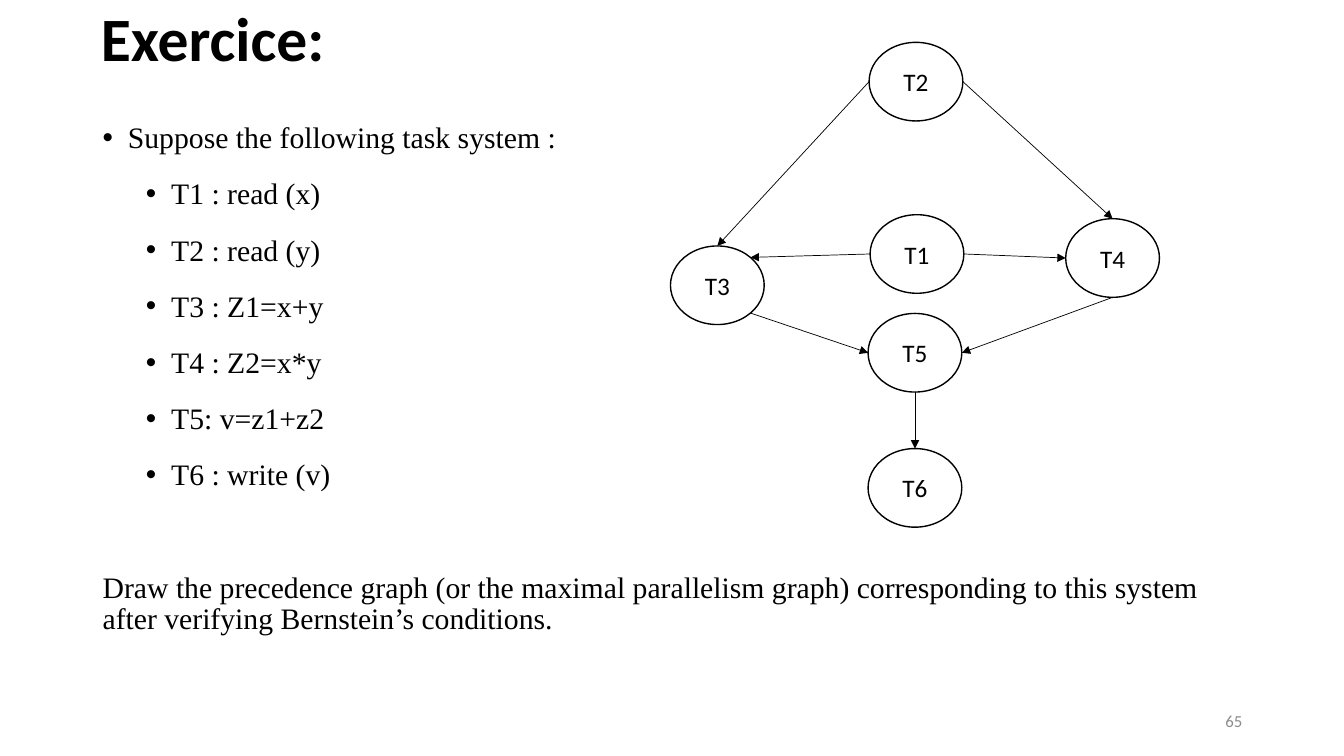
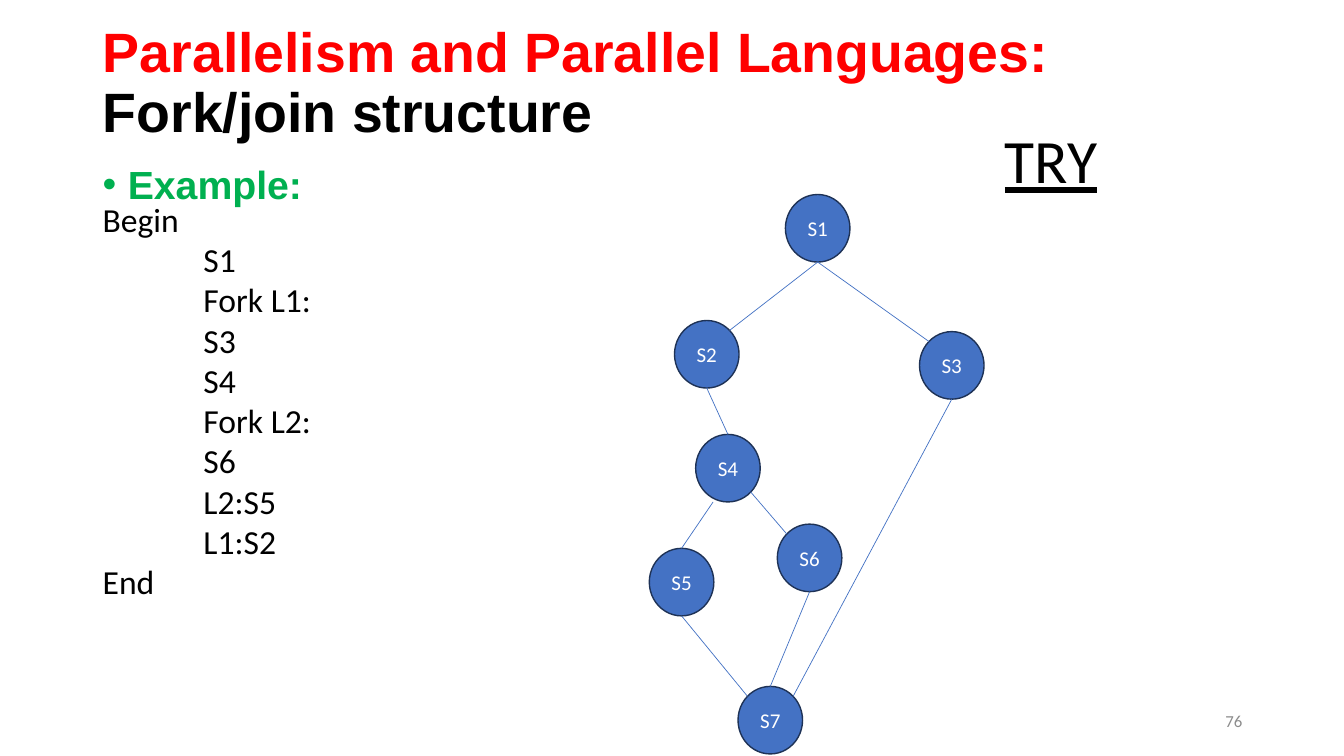
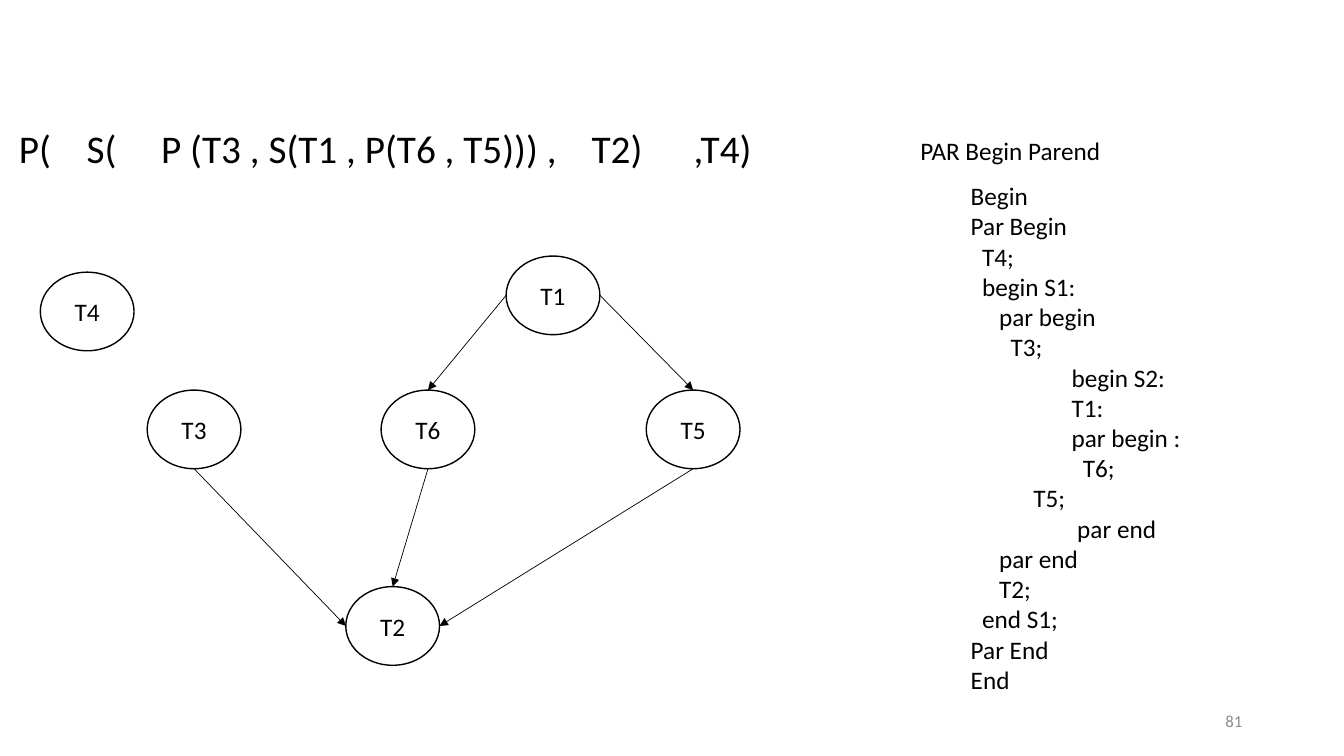
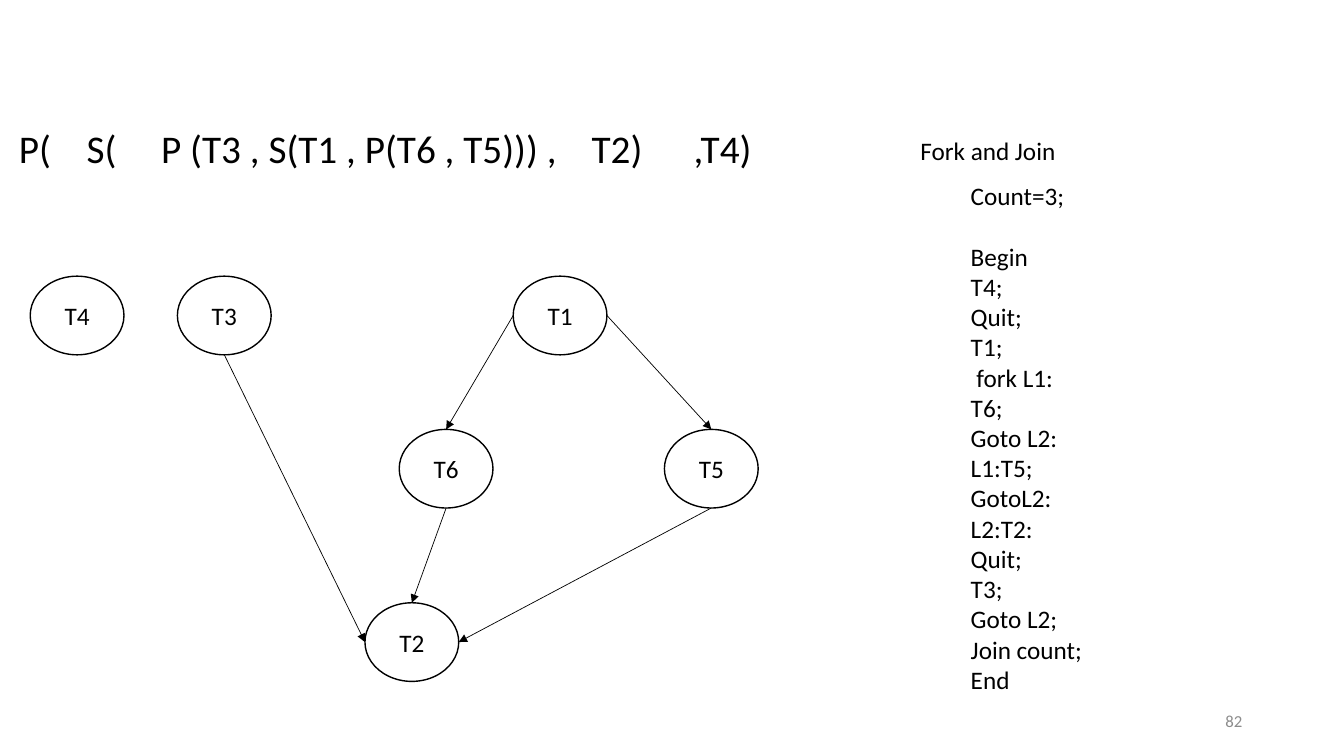
from dataclasses import dataclass

from lxml import etree
from pptx import Presentation
from pptx.dml.color import RGBColor
from pptx.enum.shapes import MSO_CONNECTOR, MSO_SHAPE
from pptx.enum.text import MSO_ANCHOR, MSO_AUTO_SIZE, PP_ALIGN
from pptx.oxml.ns import qn
from pptx.util import Inches, Pt

ELLIPSE = MSO_SHAPE.OVAL
STRAIGHT = MSO_CONNECTOR.STRAIGHT
LEFT, CENTER, RIGHT = PP_ALIGN.LEFT, PP_ALIGN.CENTER, PP_ALIGN.RIGHT
TOP, MIDDLE = MSO_ANCHOR.TOP, MSO_ANCHOR.MIDDLE
NO_AUTOFIT = MSO_AUTO_SIZE.NONE
TITLE_ONLY, BLANK = 5, 6


@dataclass(frozen=True)
class Theme:
    black: str = "000000"
    white: str = "FFFFFF"
    red: str = "FF0000"
    green: str = "00B050"
    blue: str = "4472C4"
    navy: str = "1E3256"
    gray: str = "8C8C8C"
    sans: str = "Calibri"
    heading: str = "Arial"
    serif: str = "Times New Roman"
    title: float = 44
    long_title: float = 39.6
    expression: float = 28
    program: float = 24
    body: float = 21.2
    code: float = 18
    small_node: float = 15
    footer: float = 12


THEME = Theme()


@dataclass(frozen=True)
class NodeStyle:
    width: float
    height: float
    fill: str
    line: str
    text: str
    size: float
    edge: str
    arrow: bool


TASK = NodeStyle(0.93, 0.78, THEME.white, THEME.black, THEME.black,
                 THEME.code, THEME.black, True)
STATEMENT = NodeStyle(0.64, 0.67, THEME.blue, THEME.navy, THEME.white,
                      THEME.small_node, THEME.blue, False)

# Connection sites of an ellipse: fraction of width, of height, site number
SITES = {
    "top": (0.5, 0, 0), "top left": (0.146, 0.146, 1),
    "left": (0, 0.5, 2), "bottom left": (0.146, 0.854, 3),
    "bottom": (0.5, 1, 4), "bottom right": (0.854, 0.854, 5),
    "right": (1, 0.5, 6), "top right": (0.854, 0.146, 7),
}

EXPRESSION = "P(\tS(\tP (T3 , S(T1 , P(T6 , T5))) ,\tT2)\t,T4)"
EXPRESSION_TABS = (0.67, 1.41, 5.68, 6.69)
EXPRESSION_EDGES = [
    ("T1", "left", "T6", "top"), ("T1", "right", "T5", "top"),
    ("T5", "bottom", "T2", "right"), ("T6", "bottom", "T2", "top"),
    ("T3", "bottom", "T2", "left"),
]


# Text helpers
def add_run(paragraph, text, size, color=THEME.black, font=THEME.sans,
            bold=False, underline=False):
    run = paragraph.add_run()
    run.text = text
    run.font.size = Pt(size)
    run.font.name = font
    run.font.bold = bold
    run.font.underline = underline
    run.font.color.rgb = RGBColor.from_string(color)


def add_text_box(slide, box, anchor=TOP):
    shape = slide.shapes.add_textbox(*map(Inches, box))
    frame = shape.text_frame
    frame.word_wrap = True
    frame.vertical_anchor = anchor
    return frame


def next_paragraph(frame, index):
    return frame.add_paragraph() if index else frame.paragraphs[0]


def set_indent(paragraph, margin, hanging=0):
    properties = paragraph._p.get_or_add_pPr()
    properties.set("marL", str(Inches(margin)))
    properties.set("indent", str(Inches(-hanging)))
    return properties


def add_bullet(paragraph, margin):
    properties = set_indent(paragraph, margin, 0.25)
    etree.SubElement(properties, qn("a:buFont")).set("typeface", "Arial")
    etree.SubElement(properties, qn("a:buChar")).set("char", "•")


def add_tab_stops(paragraph, positions):
    stops = etree.SubElement(paragraph._p.get_or_add_pPr(), qn("a:tabLst"))
    for position in positions:
        stop = etree.SubElement(stops, qn("a:tab"))
        stop.set("pos", str(Inches(position)))
        stop.set("algn", "l")


def add_label(slide, box, text, size, align=LEFT, anchor=TOP, **look):
    paragraph = add_text_box(slide, box, anchor).paragraphs[0]
    paragraph.alignment = align
    add_run(paragraph, text, size, **look)
    return paragraph


def add_code(slide, box, lines, size, margin=0.0, gap_before=None):
    """Each leading tab moves a line one inch to the right."""
    frame = add_text_box(slide, box)
    for index, line in enumerate(lines):
        paragraph = next_paragraph(frame, index)
        text = line.lstrip("\t")
        set_indent(paragraph, margin + len(line) - len(text))
        if line == gap_before:
            paragraph.space_before = Pt(21.6)
        add_run(paragraph, text, size)


# Shared slide parts
def add_title(slide, box, lines, size, font):
    title = slide.shapes.title
    title.left, title.top, title.width, title.height = map(Inches, box)
    frame = title.text_frame
    frame.word_wrap = True
    frame.auto_size = NO_AUTOFIT
    frame.vertical_anchor = MIDDLE
    paragraph = frame.paragraphs[0]
    paragraph.alignment = LEFT
    paragraph.line_spacing = 0.9
    for index, (text, color) in enumerate(lines):
        if index:
            paragraph.add_line_break()
        add_run(paragraph, text, size, color, font, bold=True)


def add_slide(presentation, layout, number):
    slide = presentation.slides.add_slide(presentation.slide_layouts[layout])
    add_label(slide, (9.42, 6.95, 3, 0.4), number, THEME.footer,
              RIGHT, MIDDLE, color=THEME.gray)
    return slide


# Graphs
def add_node(slide, left, top, name, style):
    node = slide.shapes.add_shape(
        ELLIPSE, *map(Inches, (left, top, style.width, style.height)))
    node.shadow.inherit = False
    node.fill.solid()
    node.fill.fore_color.rgb = RGBColor.from_string(style.fill)
    node.line.color.rgb = RGBColor.from_string(style.line)
    node.line.width = Pt(1)
    frame = node.text_frame
    frame.word_wrap = False
    frame.vertical_anchor = MIDDLE
    frame.margin_left = frame.margin_right = 0
    paragraph = frame.paragraphs[0]
    paragraph.alignment = CENTER
    add_run(paragraph, name, style.size, style.text)
    return node


def site_point(node, site):
    across, down = SITES[site][:2] if site in SITES else site
    return (round(node.left + across * node.width),
            round(node.top + down * node.height))


def add_edge(slide, start, start_site, end, end_site, style):
    connector = slide.shapes.add_connector(
        STRAIGHT, *site_point(start, start_site), *site_point(end, end_site))
    connector.line.color.rgb = RGBColor.from_string(style.edge)
    connector.line.width = Pt(0.5)
    if style.arrow:
        tail = etree.SubElement(connector.line._get_or_add_ln(), qn("a:tailEnd"))
        tail.set("type", "triangle")
    etree.SubElement(connector._element.spPr, qn("a:effectLst"))
    # Attach the ends that lie on a connection site
    links = connector._element.find(".//" + qn("p:cNvCxnSpPr"))
    for tag, node, site in (("a:stCxn", start, start_site),
                            ("a:endCxn", end, end_site)):
        if site in SITES:
            link = etree.SubElement(links, qn(tag))
            link.set("id", str(node.shape_id))
            link.set("idx", str(SITES[site][2]))


def add_graph(slide, origin, positions, edges, style):
    """Node positions are relative to the top left corner of the graph."""
    left, top = origin
    nodes = {name: add_node(slide, left + x, top + y, name, style)
             for name, (x, y) in positions.items()}
    for start, start_site, end, end_site in edges:
        add_edge(slide, nodes[start], start_site, nodes[end], end_site, style)


# Slides
def add_task_list(slide, box, heading, tasks, question):
    frame = add_text_box(slide, box)
    rows = [(heading, 0.25), *((task, 0.68) for task in tasks), (question, None)]
    for index, (text, margin) in enumerate(rows):
        paragraph = next_paragraph(frame, index)
        if margin is not None:
            add_bullet(paragraph, margin)
        paragraph.line_spacing = 0.87
        paragraph.space_after = Pt(8)
        if index:
            paragraph.space_before = Pt(10 if margin is not None else 50)
        add_run(paragraph, text, THEME.body, font=THEME.serif)


def build_exercise(presentation):
    slide = add_slide(presentation, TITLE_ONLY, "65")
    add_title(slide, (0.9, 0, 11.5, 0.83), [("Exercice:", THEME.black)],
              THEME.title, THEME.sans)
    add_task_list(
        slide, (0.92, 1.18, 11.5, 5.57), "Suppose the following task system :",
        ["T1 : read (x)", "T2 : read (y)", "T3 : Z1=x+y", "T4 : Z2=x*y",
         "T5: v=z1+z2", "T6 : write (v)"],
        "Draw the precedence graph (or the maximal parallelism graph) "
        "corresponding to this system after verifying Bernstein’s conditions.")
    add_graph(
        slide, (6.65, 0.42),
        {"T1": (1.98, 1.71), "T4": (3.92, 1.75), "T2": (1.97, 0),
         "T6": (1.96, 4.03), "T5": (1.96, 2.69), "T3": (0, 2.02)},
        [("T1", "left", "T3", "top right"), ("T4", "bottom", "T5", "right"),
         ("T5", "bottom", "T6", "top"), ("T2", "left", "T3", "top"),
         ("T2", "right", "T4", "top"), ("T1", "right", "T4", "left"),
         ("T3", "bottom right", "T5", "left")], TASK)


def build_fork_join(presentation):
    slide = add_slide(presentation, TITLE_ONLY, "76")
    add_title(slide, (0.92, 0.15, 11.5, 1.37),
              [("Parallelism and Parallel Languages:", THEME.red),
               ("Fork/join structure", THEME.black)],
              THEME.long_title, THEME.heading)
    example = add_text_box(slide, (0.92, 1.59, 5, 0.5)).paragraphs[0]
    add_bullet(example, 0.25)
    example.line_spacing = 0.9
    add_run(example, "Example:", THEME.expression, THEME.green,
            THEME.heading, bold=True)
    add_code(slide, (0.92, 1.92, 3.36, 4.14),
             ["Begin", "\tS1", "\tFork L1:", "\tS3", "\tS4", "\tFork L2:",
              "\tS6", "\tL2:S5", "\tL1:S2", "End"], THEME.program)
    add_graph(
        slide, (6.44, 1.93),
        {"S1": (1.35, 0), "S3": (2.68, 1.36), "S2": (0.25, 1.25),
         "S4": (0.46, 2.38), "S6": (1.27, 3.27), "S5": (0, 3.51),
         "S7": (0.88, 4.88)},
        [("S1", "bottom", "S3", "top left"), ("S1", "bottom", "S2", "top right"),
         ("S2", "bottom", "S4", "top"), ("S4", "bottom right", "S6", "top left"),
         ("S4", (0.27, 1), "S5", "top"), ("S3", "bottom", "S7", "top right"),
         ("S6", "bottom", "S7", "top"), ("S5", "bottom", "S7", "top left")],
        STATEMENT)
    add_label(slide, (9.65, 1.16, 1.55, 0.84), "TRY", THEME.title, CENTER,
              underline=True)


def build_expression(presentation, number, origin, positions, heading, lines,
                     gap_before=None):
    slide = add_slide(presentation, BLANK, number)
    formula = add_text_box(slide, (0.09, 1.18, 8.9, 0.57)).paragraphs[0]
    add_tab_stops(formula, EXPRESSION_TABS)
    add_run(formula, EXPRESSION, THEME.expression)
    add_graph(slide, origin, positions, EXPRESSION_EDGES, TASK)
    add_label(slide, (9.03, 1.29, 4.3, 0.4), heading, THEME.code)
    add_code(slide, (9.03, 1.74, 4.3, 5.25), lines, THEME.code, 0.5, gap_before)


def main():
    presentation = Presentation()
    presentation.slide_width = Inches(13.33)
    presentation.slide_height = Inches(7.5)
    build_exercise(presentation)
    build_fork_join(presentation)
    build_expression(
        presentation, "81", (0.4, 2.54),
        {"T3": (1.06, 1.33), "T1": (4.62, 0), "T5": (6.01, 1.33),
         "T6": (3.38, 1.33), "T2": (3.03, 3.28), "T4": (0, 0.16)},
        "PAR Begin Parend",
        ["Begin", "Par Begin", "  T4;", "  begin S1:", "     par begin",
         "       T3;", "\tbegin S2:", "\tT1:", "\tpar begin :", "\t  T6;",
         "           T5;", "\t par end", "     par end", "     T2;",
         "  end S1;", "Par End", "End"])
    build_expression(
        presentation, "82", (0.3, 2.74),
        {"T3": (1.46, 0), "T1": (4.79, 0), "T5": (6.29, 1.52),
         "T6": (3.66, 1.52), "T2": (3.32, 3.24), "T4": (0, 0)},
        "Fork and Join",
        ["Count=3;", "Begin", "T4;", "Quit;", "T1;", " fork L1:", "T6;",
         "Goto L2:", "L1:T5;", "GotoL2:", "L2:T2:", "Quit;", "T3;",
         "Goto L2;", "Join count;", "End"], gap_before="Begin")
    presentation.save("out.pptx")


if __name__ == "__main__":
    main()
